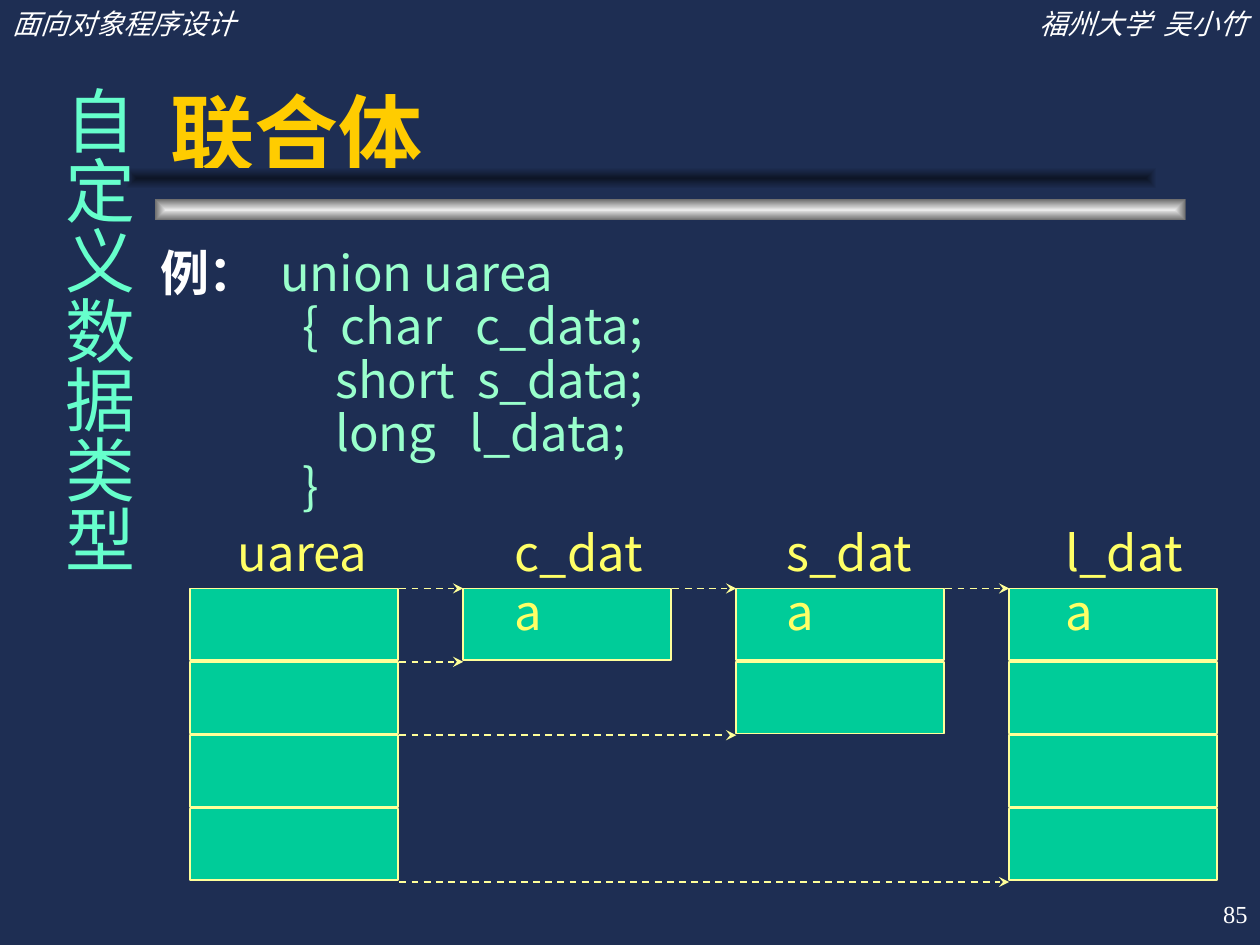
from lxml.etree import SubElement
from pptx import Presentation
from pptx.dml.color import RGBColor
from pptx.enum.dml import MSO_LINE
from pptx.enum.shapes import MSO_CONNECTOR as Connector, MSO_SHAPE as Preset
from pptx.enum.text import MSO_ANCHOR as Anchor, MSO_AUTO_SIZE as AutoSize, PP_ALIGN as Align
from pptx.oxml.ns import qn
from pptx.util import Inches, Pt

SANS, SERIF = "Noto Sans CJK SC", "Times New Roman"
WHITE, MINT, LABEL, OUTLINE = "FFFFFF", "99FFCC", "FFFF66", "FFFF99"


def color(value):
    """Turn a hex string into a colour."""
    return RGBColor.from_string(value)


def place(shape, box):
    """Move a shape to a box given in inches."""
    shape.left, shape.top, shape.width, shape.height = map(Inches, box)


def add_run(paragraph, text, size, fill, font=SANS, bold=False, italic=False):
    """Append one formatted run to a paragraph."""
    run = paragraph.add_run()
    run.text = text
    run.font.size, run.font.name = Pt(size), font
    run.font.bold, run.font.italic = bold, italic
    run.font.color.rgb = color(fill)
    SubElement(run.font._element, qn("a:ea"), typeface=SANS)


def add_text(slide, box, text, size, fill, align=Align.LEFT, before=0, **style):
    """Add a one-paragraph text box and return its frame."""
    frame = slide.shapes.add_textbox(*map(Inches, box)).text_frame
    frame.word_wrap = True
    paragraph = frame.paragraphs[0]
    paragraph.alignment, paragraph.space_before = align, Pt(before)
    add_run(paragraph, text, size, fill, **style)
    return frame


def add_bar(slide, box, center, edge):
    """Add a bar shaded from its centre to its edges."""
    bar = slide.shapes.add_shape(Preset.RECTANGLE, *map(Inches, box))
    bar.shadow.inherit = False
    bar.line.fill.background()
    bar.fill.gradient()
    for stop, value in zip(bar.fill.gradient_stops, (center, edge)):
        stop.color.rgb = color(value)
    gradient = bar._element.spPr.find(qn("a:gradFill"))
    gradient.remove(gradient.find(qn("a:lin")))
    shade = SubElement(gradient, qn("a:path"), {"path": "rect"})
    SubElement(shade, qn("a:fillToRect"), dict.fromkeys("ltrb", "50000"))


def add_title(slide, box):
    """Fill the title placeholder."""
    title = slide.shapes.title
    place(title, box)
    frame = title.text_frame
    frame.vertical_anchor, frame.auto_size = Anchor.BOTTOM, AutoSize.NONE
    frame.paragraphs[0].alignment = Align.LEFT
    add_run(frame.paragraphs[0], "联合体", 48, "FFCC00", font="Arial", bold=True)


def add_code(slide, box):
    """Fill the body placeholder with the union declaration."""
    body = slide.placeholders[1]
    place(body, box)
    frame = body.text_frame
    frame.auto_size = AutoSize.NONE
    lines = ["union uarea", "{  char   c_data;", "   short  s_data;", "   long   l_data;", "}"]
    for index, line in enumerate(lines):
        paragraph = frame.add_paragraph() if index else frame.paragraphs[0]
        paragraph.level = min(index, 1)
        paragraph.line_spacing, paragraph.space_before = 0.7, Pt(7)
        margin, indent = (1.44, -0.31) if index else (0.38, -0.38)
        properties = paragraph._p.get_or_add_pPr()
        properties.set("marL", str(Inches(margin)))
        properties.set("indent", str(Inches(indent)))
        SubElement(properties, qn("a:buNone"))
        if not index:
            add_run(paragraph, "例：  ", 28, WHITE, bold=True)
        add_run(paragraph, line, 28, MINT)


def add_cell(slide, box):
    """Add one memory cell."""
    cell = slide.shapes.add_shape(Preset.RECTANGLE, *map(Inches, box))
    cell.shadow.inherit = False
    cell.fill.solid()
    cell.fill.fore_color.rgb = color("00CC99")
    cell.line.color.rgb, cell.line.width = color(OUTLINE), Pt(1)


def add_arrow(slide, start, end, y):
    """Add a horizontal dashed arrow."""
    ends = map(Inches, (start, y, end, y))
    arrow = slide.shapes.add_connector(Connector.STRAIGHT, *ends)
    arrow.line.color.rgb, arrow.line.width = color(OUTLINE), Pt(1)
    arrow.line.dash_style = MSO_LINE.DASH
    SubElement(arrow.line._get_or_add_ln(), qn("a:tailEnd"), type="stealth")
    SubElement(arrow._element.spPr, qn("a:effectLst"))


def add_memory(slide, box):
    """Draw the union and its members as columns of cells sharing one start."""
    left, top, width, height = box
    cell_width, cell_height = 1.65, 0.57
    column_step, row_step = (width - cell_width) / 3, height / 4
    columns = [("uarea", 4, 0.28, 1.24), ("c_data", 1, 0.31, 1.38),
               ("s_data", 2, 0.3, 1.38), ("l_data", 4, 0.35, 1.29)]
    union_right = left + cell_width + 0.01
    for index, (name, rows, offset, label_width) in enumerate(columns):
        x = left + index * column_step
        for row in range(rows):
            add_cell(slide, (x, top + row * row_step, cell_width, cell_height))
        if index:
            add_arrow(slide, union_right + (index - 1) * column_step, x, top)
            add_arrow(slide, union_right, x, top + rows * row_step)
        add_text(slide, (x + offset, top - 0.57, label_width, 0.57), name, 28, LABEL)


def add_sidebar(slide, box):
    """Add the vertical chapter name."""
    frame = add_text(slide, box, "自定义数据类型", 40, "66FFCC", Align.CENTER, 25)
    frame.margin_left = frame.margin_right = Inches(0.05)
    frame.margin_top = frame.margin_bottom = Inches(0.1)
    frame._txBody.bodyPr.set("vert", "eaVert")


def add_frame(slide):
    """Add the rule, the running heads and the page number."""
    add_bar(slide, (1.23, 1.58, 8.18, 0.17), "EAEAEA", "6B6B6B")
    add_bar(slide, (1, 1.33, 8.18, 0.17), "0D1526", "1E2E53")
    heads = [(0, "面向对象程序设计", Align.LEFT), (6.92, "福州大学  吴小竹", Align.RIGHT)]
    for left, text, align in heads:
        add_text(slide, (left, 0, 3.08, 0.37), text, 16, WHITE, align, 10,
                 font=SERIF, italic=True)
    number = add_text(slide, (7.92, 7, 2.08, 0.5), "85", 14, WHITE, Align.RIGHT, font=SERIF)
    number.vertical_anchor = Anchor.MIDDLE


def main():
    """Build and save the slide."""
    presentation = Presentation()
    presentation.slide_width, presentation.slide_height = Inches(10), Inches(7.5)
    slide = presentation.slides.add_slide(presentation.slide_layouts[1])
    slide.background.fill.solid()
    slide.background.fill.fore_color.rgb = color("1E2E53")
    add_frame(slide)
    add_title(slide, (1.25, 0.25, 8, 1.25))
    add_code(slide, (1.17, 2, 8.08, 2.17))
    add_memory(slide, (1.51, 4.67, 8.15, 2.33))
    add_sidebar(slide, (0.3, 0.58, 0.86, 6.25))
    presentation.save("out.pptx")


if __name__ == "__main__":
    main()
